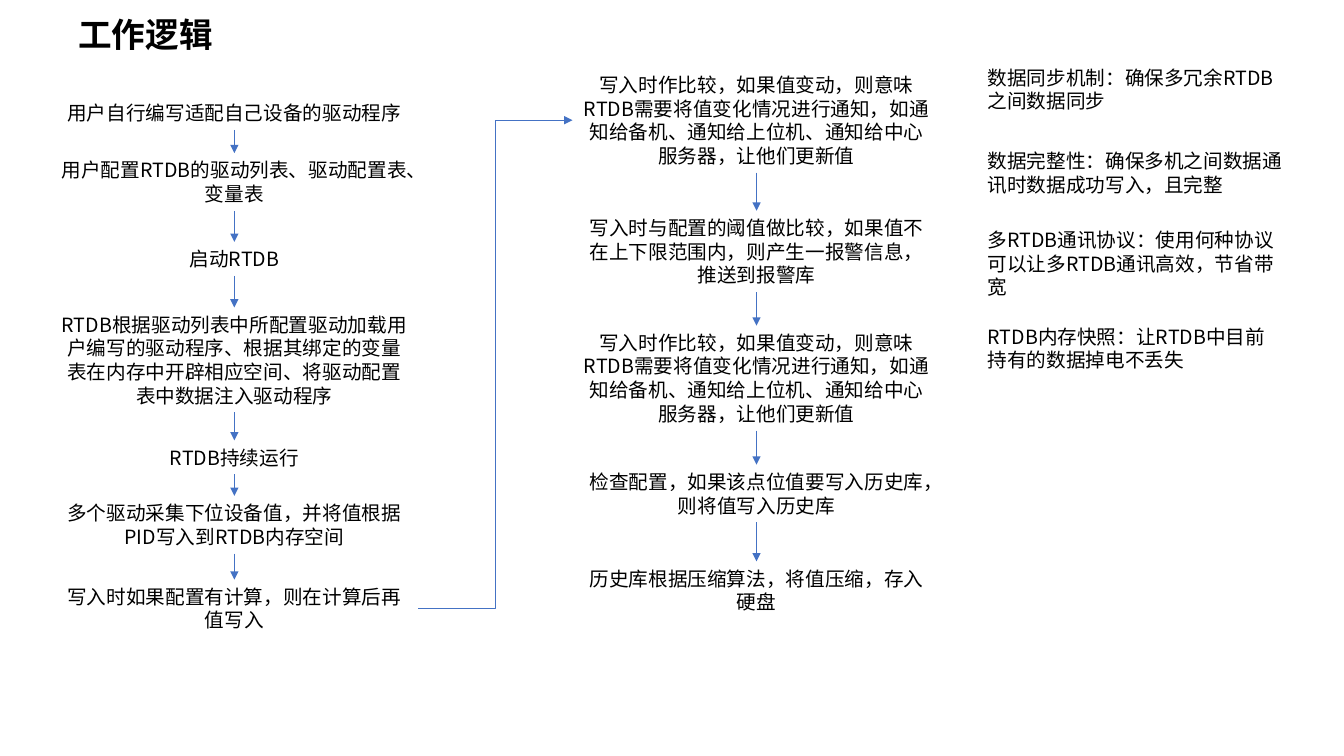
from dataclasses import dataclass
from itertools import pairwise

from lxml import etree
from pptx import Presentation
from pptx.dml.color import RGBColor
from pptx.enum import shapes, text
from pptx.oxml import ns
from pptx.util import Pt


@dataclass(frozen=True)
class Theme:
    font: str = "Noto Sans CJK SC"
    ink: RGBColor = RGBColor(0, 0, 0)
    arrow: RGBColor = RGBColor(0x44, 0x72, 0xC4)
    title_size: float = 24
    body_size: float = 14
    arrow_width: float = 0.5
    leading: float = 1.207


THEME = Theme()
STEP_WIDTH = 262.8
NOTE_WIDTH = 225.4

NOTIFY = "写入时作比较，如果值变动，则意味RTDB需要将值变化情况进行通知，如通知给备机、通知给上位机、通知给中心服务器，让他们更新值"

# Each entry: top, number of lines, wording
STARTUP_STEPS = [
    (68.4, 1, "用户自行编写适配自己设备的驱动程序"),
    (109.4, 2, "用户配置RTDB的驱动列表、驱动配置表、变量表"),
    (172.8, 1, "启动RTDB"),
    (219.6, 4, "RTDB根据驱动列表中所配置驱动加载用户编写的驱动程序、根据其绑定的变量表在内存中开辟相应空间、将驱动配置表中数据注入驱动程序"),
    (314.6, 1, "RTDB持续运行"),
    (354.2, 2, "多个驱动采集下位设备值，并将值根据PID写入到RTDB内存空间"),
    (414, 2, "写入时如果配置有计算，则在计算后再值写入"),
]
WRITE_STEPS = [
    (48.4, 4, NOTIFY),
    (150.5, 3, "写入时与配置的阈值做比较，如果值不在上下限范围内，则产生一报警信息，推送到报警库"),
    (232.6, 4, NOTIFY),
    (331.9, 2, "检查配置，如果该点位值要写入历史库，则将值写入历史库"),
    (401, 2, "历史库根据压缩算法，将值压缩，存入硬盘"),
]
NOTES = [
    (43.2, 2, "数据同步机制：确保多冗余RTDB之间数据同步"),
    (103, 2, "数据完整性：确保多机之间数据通讯时数据成功写入，且完整"),
    (159.1, 3, "多RTDB通讯协议：使用何种协议可以让多RTDB通讯高效，节省带宽"),
    (228.2, 2, "RTDB内存快照：让RTDB中目前持有的数据掉电不丢失"),
]


def write(shape, wording, size, align, bold=False):
    frame = shape.text_frame
    frame.text = wording
    frame.word_wrap = True
    frame.auto_size = text.MSO_AUTO_SIZE.NONE
    frame.vertical_anchor = text.MSO_ANCHOR.TOP
    paragraph = frame.paragraphs[0]
    paragraph.alignment = align
    paragraph.line_spacing = Pt(size * THEME.leading)
    for run in paragraph.runs:
        run.font.size = Pt(size)
        run.font.bold = bold
        run.font.name = THEME.font
        run.font.color.rgb = THEME.ink
        east_asian = etree.SubElement(run.font._element, ns.qn("a:ea"))
        east_asian.set("typeface", THEME.font)


def add_title(slide, wording):
    title = slide.shapes.title
    title.left, title.top, title.width, title.height = Pt(0), Pt(6.5), Pt(208), Pt(36)
    write(title, wording, THEME.title_size, text.PP_ALIGN.CENTER, bold=True)


def add_column(slide, left, width, entries, align):
    """Stack text boxes at one left edge and return them in order."""
    column = []
    for top, lines, wording in entries:
        height = 7.4 + lines * THEME.body_size * THEME.leading
        box = slide.shapes.add_textbox(Pt(left), Pt(top), Pt(width), Pt(height))
        write(box, wording, THEME.body_size, align)
        column.append(box)
    return column


def add_arrow(slide, kind, source, source_side, target, target_side):
    arrow = slide.shapes.add_connector(kind, 0, 0, 0, 0)
    arrow.begin_connect(source, source_side)
    arrow.end_connect(target, target_side)
    arrow.line.color.rgb = THEME.arrow
    arrow.line.width = Pt(THEME.arrow_width)
    line = arrow.line._get_or_add_ln()
    etree.SubElement(line, ns.qn("a:tailEnd")).set("type", "triangle")
    etree.SubElement(arrow._element.spPr, ns.qn("a:effectLst"))


def add_flow(slide, left, entries):
    """Add a column of steps, each with an arrow to the next."""
    steps = add_column(slide, left, STEP_WIDTH, entries, text.PP_ALIGN.CENTER)
    for step, following in pairwise(steps):
        add_arrow(slide, shapes.MSO_CONNECTOR.STRAIGHT, step, 2, following, 0)
    return steps


def main():
    deck = Presentation()
    deck.slide_width, deck.slide_height = Pt(960), Pt(540)
    slide = deck.slides.add_slide(deck.slide_layouts.get_by_name("Title Only"))
    add_title(slide, "工作逻辑")
    startup = add_flow(slide, 36, STARTUP_STEPS)
    writing = add_flow(slide, 409, WRITE_STEPS)
    add_arrow(slide, shapes.MSO_CONNECTOR.ELBOW, startup[-1], 3, writing[0], 1)
    add_column(slide, 698.4, NOTE_WIDTH, NOTES, text.PP_ALIGN.LEFT)
    deck.save("out.pptx")


if __name__ == "__main__":
    main()
